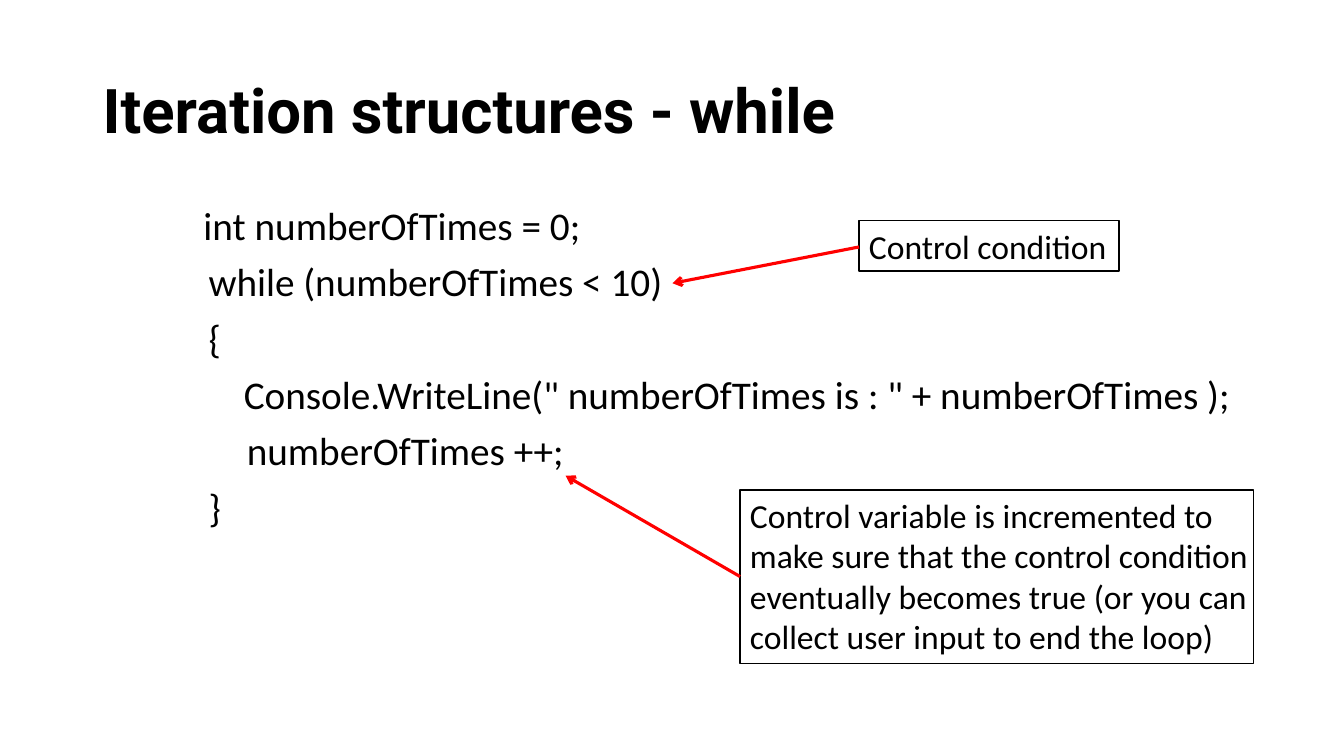
from pptx import Presentation
from pptx.dml.color import RGBColor
from pptx.enum.shapes import MSO_CONNECTOR as Connector, MSO_SHAPE as Shape
from pptx.enum.text import MSO_ANCHOR as Anchor, MSO_AUTO_SIZE as AutoSize
from pptx.oxml.ns import qn
from pptx.util import Inches, Pt
from lxml.etree import SubElement


def color(code):
    return RGBColor.from_string(code)


class CodeSlide:
    """Draws code, callouts and arrows in one style on the current slide."""

    ink = "000000"
    accent = "FF0000"
    title_font = {"name": "Roboto", "size": Pt(44), "bold": True}
    code_font = {"name": "Calibri", "size": Pt(28)}
    note_font = {"name": "Calibri", "size": Pt(24)}
    code_spacing = {"line_spacing": 0.9, "space_before": Pt(10)}

    def __init__(self, deck):
        self.slide = deck.slides.add_slide(deck.slide_layouts[6])

    def apply(self, target, formats):
        for attribute, value in formats.items():
            setattr(target, attribute, value)

    def text(self, area, lines, font, spacing, frame_format):
        frame = self.slide.shapes.add_textbox(*map(Inches, area)).text_frame
        self.apply(frame, {"word_wrap": True, **frame_format})
        for position, (indent, wording) in enumerate(lines):
            paragraph = frame.add_paragraph() if position else frame.paragraphs[0]
            self.apply(paragraph, spacing)
            paragraph._p.get_or_add_pPr().set("marL", str(Inches(indent)))
            run = paragraph.add_run()
            run.text = wording
            self.apply(run.font, font)
            run.font.color.rgb = color(self.ink)

    def title(self, area, wording):
        self.text(area, [(0, wording)], self.title_font, {"line_spacing": 0.9},
                  {"vertical_anchor": Anchor.MIDDLE})

    def code(self, area, lines):
        self.text(area, lines, self.code_font, self.code_spacing, {})

    def callout(self, area, text_width, wording, wrap):
        left, top, width, height = area
        self.text((left, top, text_width, height), [(0, wording)], self.note_font, {},
                  {"word_wrap": wrap, "auto_size": AutoSize.SHAPE_TO_FIT_TEXT})
        border = self.slide.shapes.add_shape(Shape.RECTANGLE, *map(Inches, area))
        border.shadow.inherit = False
        border.fill.background()
        border.line.color.rgb = color(self.ink)
        border.line.width = Pt(1)

    def arrow(self, start, end):
        pointer = self.slide.shapes.add_connector(
            Connector.STRAIGHT, *map(Inches, start + end))
        pointer.line.color.rgb = color(self.accent)
        pointer.line.width = Pt(2.25)
        SubElement(pointer.line._get_or_add_ln(), qn("a:tailEnd"), type="arrow")
        SubElement(pointer._element.spPr, qn("a:effectLst"))


def main():
    deck = Presentation()
    deck.slide_width, deck.slide_height = Inches(13.33), Inches(7.5)
    loop = CodeSlide(deck)
    loop.title((0.92, 0.4, 11.5, 1.45), "Iteration structures - while")
    loop.code((0.92, 2, 11.5, 4.76), [
        (1, "int numberOfTimes = 0;"),
        (1.05, "while (numberOfTimes < 10)"),
        (1.05, "{"),
        (1.4, 'Console.WriteLine(" numberOfTimes is : " + numberOfTimes );'),
        (1.43, "numberOfTimes ++;"),
        (1.05, "}"),
    ])
    loop.callout((8.52, 2.19, 2.58, 0.5), 2.58, "Control condition", False)
    loop.arrow((8.52, 2.45), (6.67, 2.81))
    loop.callout((7.34, 4.86, 5.09, 1.72), 5.54,
                 "Control variable is incremented to make sure that the control "
                 "condition eventually becomes true (or you can collect user "
                 "input to end the loop)", True)
    loop.arrow((7.34, 5.72), (5.61, 4.72))
    deck.save("out.pptx")


if __name__ == "__main__":
    main()
